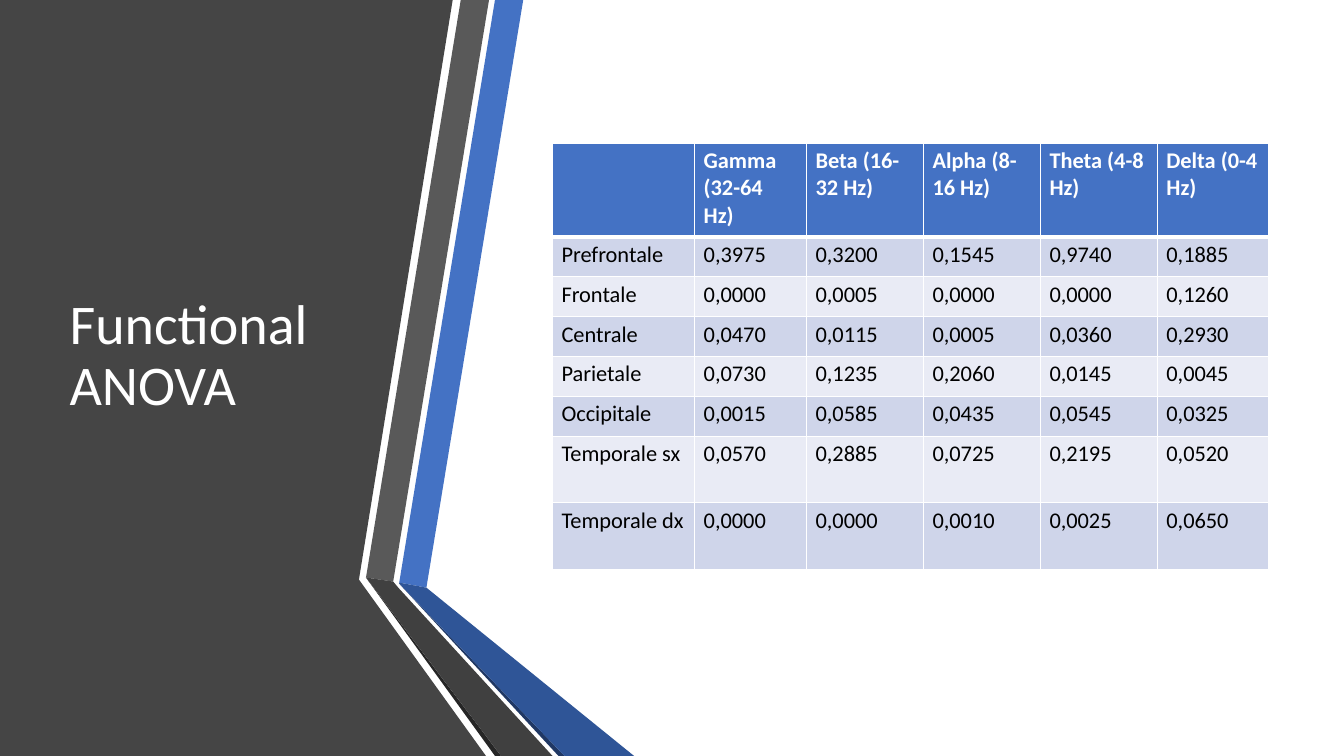
from lxml.etree import SubElement
from pptx import Presentation
from pptx.dml.color import RGBColor
from pptx.enum.text import MSO_ANCHOR, PP_ALIGN
from pptx.oxml.ns import qn
from pptx.util import Inches, Pt

WHITE = RGBColor(0xFF, 0xFF, 0xFF)
BLACK = RGBColor(0x00, 0x00, 0x00)
PANEL = RGBColor(0x45, 0x45, 0x45)
BLUE = RGBColor(0x44, 0x72, 0xC4)
BLUE_FOLD = RGBColor(0x2F, 0x55, 0x97)
BLUE_EDGE = RGBColor(0x20, 0x38, 0x64)
GREY = RGBColor(0x59, 0x59, 0x59)
GREY_FOLD = RGBColor(0x40, 0x40, 0x40)
GREY_EDGE = RGBColor(0x26, 0x26, 0x26)
BAND_DARK = RGBColor(0xCF, 0xD5, 0xEA)
BAND_LIGHT = RGBColor(0xE9, 0xEB, 0xF5)
FONT = "Calibri"
W, H = 13.33, 7.5


def add_outline(shapes, points, color):
    """Draw a filled closed outline through points given in inches."""
    corners = [(Inches(x), Inches(y)) for x, y in points]
    builder = shapes.build_freeform(*corners[0])
    builder.add_line_segments(corners[1:], close=True)
    shape = builder.convert_to_shape()
    shape.shadow.inherit = False
    shape.fill.solid()
    shape.fill.fore_color.rgb = color
    shape.line.fill.background()


def add_run(p, text, size, color, bold=False):
    """Add one formatted run to a paragraph."""
    r = p.add_run()
    r.text = text
    r.font.name = FONT
    r.font.size = Pt(size)
    r.font.bold = bold
    r.font.color.rgb = color


prs = Presentation()
prs.slide_width, prs.slide_height = Inches(W), Inches(H)
s = prs.slides.add_slide(prs.slide_layouts[5])
s.background.fill.solid()
s.background.fill.fore_color.rgb = WHITE

# Dark panel and the two folded ribbons along its edge
add_outline(s.shapes, [(0, 0), (4.49, 0), (3.56, 5.75), (4.82, H), (0, H)], PANEL)
ribbons = s.shapes.add_group_shape()
for points, color in [
    ([(3.96, 5.78), (4.23, 5.83), (5.19, 0), (4.91, 0)], BLUE),
    ([(4.85, 0), (4.57, 0), (3.63, 5.73), (3.9, 5.77)], GREY),
    ([(3.63, 5.73), (4.91, H), (4.97, H)], GREY_EDGE),
    ([(3.96, 5.79), (5.54, H), (5.6, H)], BLUE_EDGE),
    ([(3.96, 5.79), (5.6, H), (6.29, H), (4.23, 5.83), (3.96, 5.78)], BLUE_FOLD),
    ([(5.48, H), (3.95, 5.83), (3.9, 5.77), (3.63, 5.73), (4.97, H)], GREY_FOLD),
]:
    add_outline(ribbons.shapes, points, color)

# Title, brought in front of the panel
title = s.shapes.title
s.shapes.element.append(title.element)
title.left, title.top = Inches(0.59), Inches(H * 0.1)
title.width, title.height = Inches(3.04), Inches(5.58)
tf = title.text_frame
tf.word_wrap = True
tf.vertical_anchor = MSO_ANCHOR.MIDDLE
p = tf.paragraphs[0]
p.alignment = PP_ALIGN.LEFT
p.line_spacing = 0.9
add_run(p, "Functional ANOVA", 40, WHITE)

# Table of values: scalp areas by frequency bands
ROWS = [
    ["", "Gamma (32-64 Hz)", "Beta (16-32 Hz)", "Alpha (8-16 Hz)", "Theta (4-8 Hz)", "Delta (0-4 Hz)"],
    ["Prefrontale", "0,3975", "0,3200", "0,1545", "0,9740", "0,1885"],
    ["Frontale", "0,0000", "0,0005", "0,0000", "0,0000", "0,1260"],
    ["Centrale", "0,0470", "0,0115", "0,0005", "0,0360", "0,2930"],
    ["Parietale", "0,0730", "0,1235", "0,2060", "0,0145", "0,0045"],
    ["Occipitale", "0,0015", "0,0585", "0,0435", "0,0545", "0,0325"],
    ["Temporale sx", "0,0570", "0,2885", "0,0725", "0,2195", "0,0520"],
    ["Temporale dx", "0,0000", "0,0000", "0,0010", "0,0025", "0,0650"],
]
TABLE_H, HEADER_H, TALL_H = 4.23, 0.93, 0.66
COL_WIDTHS = [1.41, 1.11, 1.16, 1.16, 1.16, 1.1]
ROW_HEIGHTS = [HEADER_H] + [(TABLE_H - HEADER_H - 2 * TALL_H) / 5] * 5 + [TALL_H] * 2

table = s.shapes.add_table(
    len(ROWS), len(COL_WIDTHS), Inches(5.48), Inches(1.42),
    Inches(sum(COL_WIDTHS)), Inches(TABLE_H)).table
for column, width in zip(table.columns, COL_WIDTHS):
    column.width = Inches(width)
for i, (row, height) in enumerate(zip(ROWS, ROW_HEIGHTS)):
    table.rows[i].height = Inches(height)
    header = i == 0
    fill = BLUE if header else (BAND_DARK if i % 2 else BAND_LIGHT)
    for j, text in enumerate(row):
        cell = table.cell(i, j)
        cell.margin_left = cell.margin_right = Inches(0.09)
        cell.margin_top = cell.margin_bottom = Inches(0.04)
        tcPr = cell._tc.get_or_add_tcPr()
        for side in ("lnL", "lnR", "lnT", "lnB"):
            thick = (header and side == "lnB") or (i == 1 and side == "lnT")
            ln = SubElement(tcPr, qn(f"a:{side}"), w=str(Pt(3 if thick else 1)))
            SubElement(SubElement(ln, qn("a:solidFill")), qn("a:srgbClr"), val=str(WHITE))
        cell.fill.solid()
        cell.fill.fore_color.rgb = fill
        if text:
            add_run(cell.text_frame.paragraphs[0], text, 16, WHITE if header else BLACK, header)

prs.save("out.pptx")
